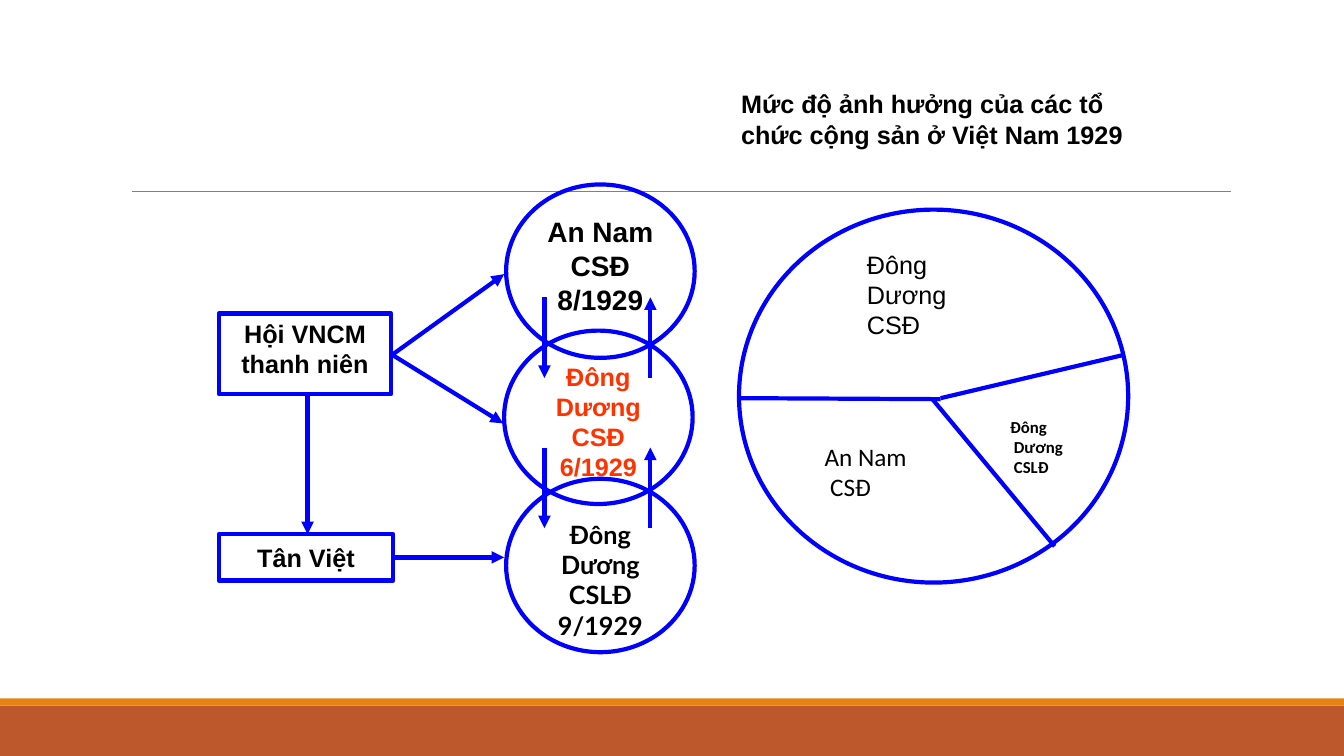
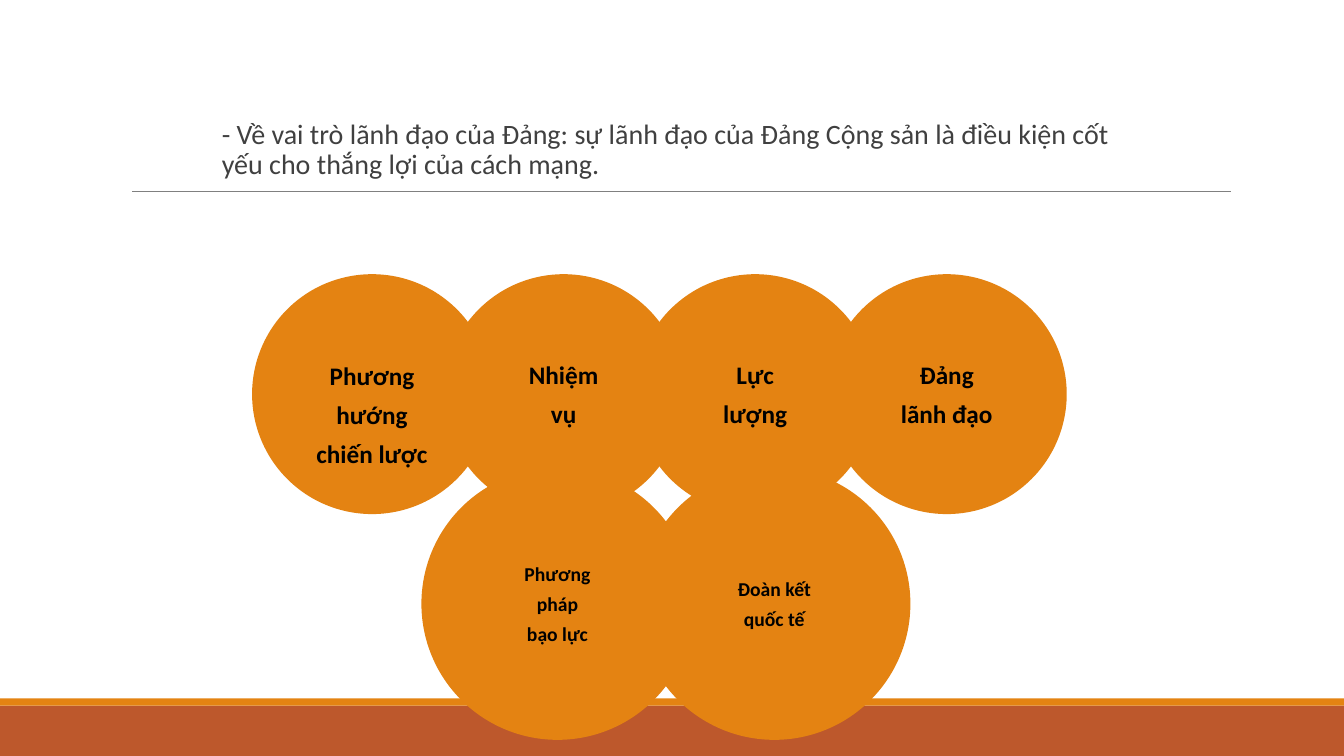
from dataclasses import dataclass

from pptx import Presentation
from pptx.dml.color import RGBColor
from pptx.enum.shapes import MSO_CONNECTOR as Link, MSO_SHAPE as Kind
from pptx.enum.text import MSO_ANCHOR as Anchor, MSO_AUTO_SIZE as Fit, PP_ALIGN as Align
from pptx.oxml.ns import qn
from pptx.util import Emu, Pt

SCALE = 9144  # EMU in one px, 100 px to the inch
WIDE, HIGH = 1333, 750


@dataclass(frozen=True)
class Theme:
    rust: str = "BD582C"
    amber: str = "E48312"
    rule: str = "808080"
    blue: str = "0000FF"
    red: str = "FF3300"
    black: str = "000000"
    grey: str = "404040"
    arial: str = "Arial"
    lato: str = "Lato"
    plain: str = "Calibri"
    lead: int = 20
    text: int = 18
    note: int = 14
    small: int = 12
    thin: float = 0.5
    thick: float = 3


def px(*vals):
    return [Emu(val * SCALE) for val in vals]


def rgb(code):
    return RGBColor.from_string(code)


class Deck:
    def __init__(self, theme):
        self.theme = theme
        self.prs = Presentation()
        self.prs.slide_width, self.prs.slide_height = px(WIDE, HIGH)
        self.slide = None

    def page(self, layout):
        first = self.slide is None
        self.slide = self.prs.slides.add_slide(self.prs.slide_layouts[layout])
        if first:
            self.frame()

    def frame(self):
        """Put the footer bands and the header rule on the master."""
        look = self.theme
        parts = [
            self.shape(Kind.RECTANGLE, (0, 700, WIDE, 50), fill=look.rust),
            self.shape(Kind.RECTANGLE, (0, 693, WIDE, 7), fill=look.amber),
            self.line((131, 190), (1221, 190), look.rule, look.thin),
        ]
        tree = self.prs.slide_master.shapes._spTree
        for num, part in enumerate(parts, 101):
            part._element.xpath(".//p:cNvPr")[0].set("id", str(num))
            tree.append(part._element)

    def shape(self, kind, box, fill=None, edge=None):
        item = self.slide.shapes.add_shape(kind, *px(*box))
        item.shadow.inherit = False
        if fill:
            item.fill.solid()
            item.fill.fore_color.rgb = rgb(fill)
        else:
            item.fill.background()
        if edge:
            item.line.color.rgb = rgb(edge)
            item.line.width = Pt(self.theme.thick)
        else:
            item.line.fill.background()
        return item

    def line(self, start, end, color=None, width=None, arrow=False):
        item = self.slide.shapes.add_connector(Link.STRAIGHT, *px(*start, *end))
        item.line.color.rgb = rgb(color or self.theme.blue)
        item.line.width = Pt(width or self.theme.thick)
        if arrow:
            ln = item.line._get_or_add_ln()
            ln.append(ln.makeelement(qn("a:tailEnd"), {"type": "triangle"}))
        props = item._element.spPr
        props.append(props.makeelement(qn("a:effectLst"), {}))
        return item

    def put(self, item, text, font=None, size=None, color=None, bold=False,
            align=Align.LEFT, anchor=Anchor.TOP, pad=(10, 5, 10, 5),
            after=0, pitch=1.0):
        """Fill a shape with text; pad is left, top, right, bottom."""
        frame = item.text_frame
        frame.text = text
        frame.word_wrap = True
        frame.auto_size = Fit.NONE
        frame.vertical_anchor = anchor
        (frame.margin_left, frame.margin_top,
         frame.margin_right, frame.margin_bottom) = px(*pad)
        for para in frame.paragraphs:
            para.alignment = align
            para.space_before = Pt(0)
            para.space_after = Pt(after)
            para.line_spacing = pitch
            for run in para.runs:
                run.font.name = font or self.theme.plain
                run.font.size = Pt(size or self.theme.text)
                run.font.bold = bold
                run.font.color.rgb = rgb(color or self.theme.black)

    def node(self, kind, box, text, font, top=5, **style):
        item = self.shape(kind, box, edge=self.theme.blue)
        self.put(item, text, font, bold=True, align=Align.CENTER,
                 pad=(10, top, 10, 5), **style)

    def disc(self, left, top, side, text, size, drop=0):
        item = self.shape(Kind.OVAL, (left, top, side, side), fill=self.theme.amber)
        self.put(item, text, size=size, bold=True, align=Align.CENTER,
                 anchor=Anchor.MIDDLE, pad=(0, drop, 0, 0), after=0.35 * size)

    def label(self, box, text, **style):
        self.put(self.slide.shapes.add_textbox(*px(*box)), text, **style)

    def place(self, item, box):
        item.left, item.top, item.width, item.height = px(*box)
        return item

    def title(self, box, text, **style):
        self.put(self.place(self.slide.shapes.title, box), text, **style)

    def body(self, box, text, **style):
        item = self.place(self.slide.placeholders[1], box)
        self.put(item, text, **style)
        for para in item.text_frame.paragraphs:
            props = para._p.get_or_add_pPr()
            props.set("marL", "0")
            props.set("indent", "0")
            props.append(props.makeelement(qn("a:buNone"), {}))

    def drop_title(self):
        mark = self.slide.shapes.title._element
        mark.getparent().remove(mark)


def groups(deck):
    look = deck.theme
    deck.page(5)
    deck.title((725, 83, 407, 115),
               "Mức độ ảnh hưởng của các tổ\nchức cộng sản ở Việt Nam 1929",
               font=look.arial, bold=True)

    deck.node(Kind.RECTANGLE, (217, 311, 171, 80), "Hội VNCM thanh niên", look.arial)
    deck.node(Kind.RECTANGLE, (217, 530, 173, 46), "Tân Việt", look.arial, top=8)
    deck.node(Kind.OVAL, (500, 328, 187, 172), "Đông Dương\nCSĐ\n6/1929",
              look.arial, color=look.red)
    deck.node(Kind.OVAL, (502, 475, 187, 172), "Đông Dương CSLĐ\n9/1929",
              look.lato, top=15)
    deck.node(Kind.OVAL, (502, 183, 187, 172), "An Nam CSĐ\n8/1929",
              look.arial, size=look.lead)

    for start, end in [((389, 352), (499, 420)), ((389, 553), (500, 553)),
                       ((389, 352), (500, 272)), ((305, 392), (305, 530))]:
        deck.line(start, end, arrow=True)
    for top in (295, 444):
        deck.line((540, top), (540, top + 80), arrow=True)
        deck.line((645, top + 80), (645, top), arrow=True)

    deck.shape(Kind.OVAL, (733, 208, 386, 370), edge=look.blue)
    for start, end in [((733, 395), (933, 396)), ((933, 395), (1115, 352)),
                       ((924, 395), (1046, 542))]:
        deck.line(start, end)
    deck.label((850, 242, 120, 100), "Đông Dương CSĐ", font=look.arial)
    deck.label((808, 433, 133, 115), "An Nam\n CSĐ")
    deck.label((992, 408, 115, 71), "Đông\n Dương\n CSLĐ", size=look.small, bold=True)


def lessons(deck):
    look = deck.theme
    deck.page(1)
    deck.drop_title()
    deck.body((210, 114, 900, 495),
              "- Về vai trò lãnh đạo của Đảng: sự lãnh đạo của Đảng Cộng sản "
              "là điều kiện cốt yếu cho thắng lợi của cách mạng.",
              size=look.lead, color=look.grey, pad=(10, 5, 0, 5), after=2, pitch=0.9)

    upper = [("Phương\nhướng\nchiến lược", 40), ("Nhiệm\nvụ", 0),
             ("Lực\nlượng", 0), ("Đảng\nlãnh đạo", 0)]
    for col, (text, drop) in enumerate(upper):
        deck.disc(250 + 190 * col, 272, 238, text, look.text, drop)
    for col, text in enumerate(["Phương\npháp\nbạo lực", "Đoàn kết\nquốc tế"]):
        deck.disc(418 + 215 * col, 464, 270, text, look.note)


def main():
    deck = Deck(Theme())
    groups(deck)
    lessons(deck)
    deck.prs.save("out.pptx")


if __name__ == "__main__":
    main()
